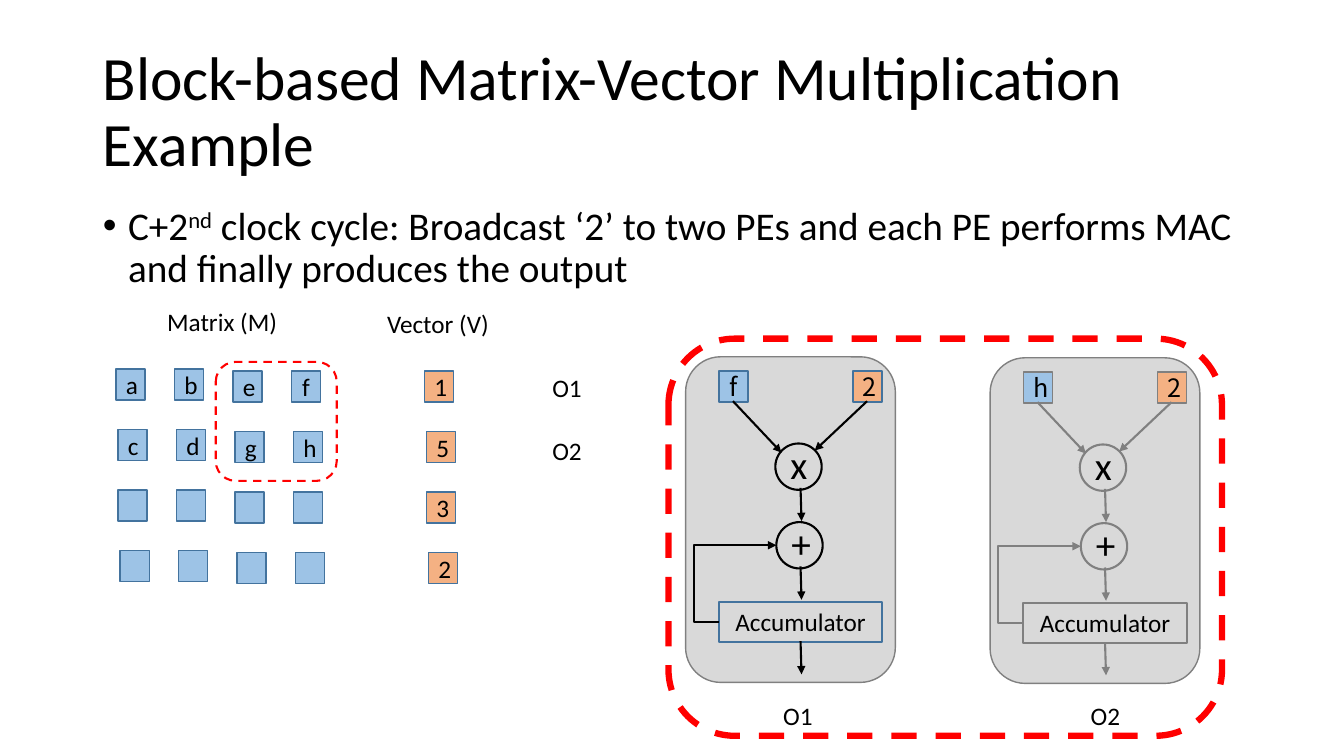
from lxml.etree import SubElement
from pptx import Presentation
from pptx.dml.color import RGBColor
from pptx.enum.dml import MSO_LINE
from pptx.enum.shapes import MSO_CONNECTOR, MSO_SHAPE
from pptx.enum.text import MSO_ANCHOR, MSO_AUTO_SIZE, PP_ALIGN
from pptx.oxml.ns import qn
from pptx.util import Inches, Pt

COLORS = {
    "matrix": "9DC3E6", "vector": "F4B183", "pe": "D9D9D9", "border": "43739E",
    "gray": "808080", "black": "000000", "highlight": "FF0000",
}
TEXT_FONT = "Calibri"
OPERAND_FONT = "Noto Sans CJK KR"
CELL_WIDTH, CELL_HEIGHT = 0.29, 0.31
COLUMN_STEP, ROW_STEP = 0.58, 0.6
ROW_SHIFTS = [0, 0.02, 0.02, 0.04]
MATRIX = ["abef", "cdgh", "    ", "    "]
VECTOR = "1532"


def rgb(name):
    return RGBColor.from_string(COLORS[name])


def format_runs(paragraph, size, font=TEXT_FONT):
    for run in paragraph.runs:
        run.font.size = Pt(size)
        run.font.name = font
        run.font.color.rgb = rgb("black")


def place(shape, left, top, width, height):
    shape.left, shape.top = Inches(left), Inches(top)
    shape.width, shape.height = Inches(width), Inches(height)


def add_box(shapes, kind, left, top, width, height, line, weight,
            fill=None, text="", font=TEXT_FONT, dashed=False):
    box = shapes.add_shape(kind, Inches(left), Inches(top), Inches(width), Inches(height))
    box.shadow.inherit = False
    if fill:
        box.fill.solid()
        box.fill.fore_color.rgb = rgb(fill)
    else:
        box.fill.background()
    box.line.color.rgb = rgb(line)
    box.line.width = Pt(weight)
    if dashed:
        box.line.dash_style = MSO_LINE.DASH
    if text:
        box.text_frame.text = text
        box.text_frame.vertical_anchor = MSO_ANCHOR.MIDDLE
        paragraph = box.text_frame.paragraphs[0]
        paragraph.alignment = PP_ALIGN.CENTER
        format_runs(paragraph, 18, font)


def add_cell(shapes, left, top, fill, text, line="border", font=TEXT_FONT):
    add_box(shapes, MSO_SHAPE.RECTANGLE, left, top, CELL_WIDTH, CELL_HEIGHT,
            line, 1, fill, text, font)


def add_label(shapes, text, left, top, width, height=0.4, size=18, wrap=False):
    label = shapes.add_textbox(Inches(left), Inches(top), Inches(width), Inches(height))
    label.text_frame.text = text
    label.text_frame.word_wrap = wrap
    format_runs(label.text_frame.paragraphs[0], size)


def add_arrow(shapes, start, end, color, bend=None):
    """Draw an arrow; bend is the elbow position as a share of its width."""
    kind = MSO_CONNECTOR.STRAIGHT if bend is None else MSO_CONNECTOR.ELBOW
    arrow = shapes.add_connector(kind, *(Inches(value) for value in (*start, *end)))
    arrow.line.color.rgb = rgb(color)
    arrow.line.width = Pt(1.5)
    properties = arrow._element.spPr
    SubElement(properties.find(qn("a:ln")), qn("a:tailEnd"), type="triangle")
    SubElement(properties, qn("a:effectLst"))
    if bend is not None:
        guides = properties.find(qn("a:prstGeom")).get_or_add_avLst()
        SubElement(guides, qn("a:gd"), name="adj1", fmla=f"val {round(bend * 100000)}")


def add_processing_element(slide, left, top, operand, ink, border):
    """Draw one multiply-accumulate unit with its corner at left, top."""
    shapes = slide.shapes.add_group_shape().shapes
    add_box(shapes, MSO_SHAPE.ROUNDED_RECTANGLE, left, top, 2.08, 3.23, "gray", 1, "pe")
    for symbol, dx, dy in [("x", 0.89, 0.86), ("+", 0.9, 1.64)]:
        add_box(shapes, MSO_SHAPE.OVAL, left + dx, top + dy, 0.46, 0.46, ink, 1.5)
        add_label(shapes, symbol, left + dx + 0.05, top + dy - 0.08, 0.36, 0.57, 28, True)
    for text, dx, fill in [(operand, 0.33, "matrix"), ("2", 1.66, "vector")]:
        add_cell(shapes, left + dx, top + 0.14, fill, text, border, OPERAND_FONT)
    add_box(shapes, MSO_SHAPE.RECTANGLE, left + 0.33, top + 2.43, 1.62, 0.4,
            border, 1.5, text="Accumulator")
    arrows = [
        ((0.47, 0.44), (0.95, 0.95), None),
        ((1.8, 0.44), (1.28, 0.93), None),
        ((1.14, 1.3), (1.15, 1.63), None),
        ((1.14, 2.08), (1.15, 2.41), None),
        ((0.33, 2.63), (0.9, 1.87), -0.435),
        ((1.14, 2.82), (1.15, 3.15), None),
    ]
    for (x1, y1), (x2, y2), bend in arrows:
        add_arrow(shapes, (left + x1, top + y1), (left + x2, top + y2), ink, bend)


def add_matrix_and_vector(shapes):
    for row, letters in enumerate(MATRIX):
        shift, top = ROW_SHIFTS[row], 3.66 + row * ROW_STEP
        for column, letter in enumerate(letters):
            drop = 0.02 if column > 1 else 0
            add_cell(shapes, 1.15 + shift + column * COLUMN_STEP, top + drop,
                     "matrix", letter.strip())
        add_cell(shapes, 4.21 + shift, top + 0.02, "vector", VECTOR[row])
    add_label(shapes, "Matrix (M)", 1.56, 2.99, 1.3)
    add_label(shapes, "Vector (V)", 3.74, 3.01, 1.22)


def fill_title(title):
    place(title, 0.92, 0.4, 11.5, 1.45)
    frame = title.text_frame
    frame.text = "Block-based Matrix-Vector Multiplication Example"
    frame.auto_size = MSO_AUTO_SIZE.NONE
    frame.vertical_anchor = MSO_ANCHOR.MIDDLE
    paragraph = frame.paragraphs[0]
    paragraph.alignment = PP_ALIGN.LEFT
    paragraph.line_spacing = 0.9
    format_runs(paragraph, 44)


def fill_body(body):
    place(body, 0.92, 2, 11.5, 4.76)
    body.text_frame.auto_size = MSO_AUTO_SIZE.NONE
    paragraph = body.text_frame.paragraphs[0]
    paragraph.line_spacing = 0.9
    paragraph.space_before = Pt(0)
    indents = paragraph._p.get_or_add_pPr()
    indents.set("marL", str(Inches(0.25)))
    indents.set("indent", str(Inches(-0.25)))
    for text in ["C+2", "nd", " clock cycle: Broadcast ‘2’ to two PEs and each PE "
                 "performs MAC and finally produces the output"]:
        paragraph.add_run().text = text
    format_runs(paragraph, 28)
    paragraph.runs[1]._r.get_or_add_rPr().set("baseline", "30000")


def main():
    presentation = Presentation()
    presentation.slide_width, presentation.slide_height = Inches(13.33), Inches(7.5)
    slide = presentation.slides.add_slide(presentation.slide_layouts[1])
    shapes = slide.shapes
    fill_title(shapes.title)
    fill_body(slide.placeholders[1])
    add_matrix_and_vector(shapes)
    add_processing_element(slide, 9.82, 3.55, "h", "gray", "gray")
    add_processing_element(slide, 6.8, 3.54, "f", "black", "border")
    add_box(shapes, MSO_SHAPE.ROUNDED_RECTANGLE, 2.14, 3.59, 1.2, 1.18,
            "highlight", 1.5, dashed=True)
    for text, left, top in [("O1", 7.67, 6.9), ("O2", 10.72, 6.9),
                            ("O1", 5.38, 3.64), ("O2", 5.38, 4.27)]:
        add_label(shapes, text, left, top, 0.5)
    add_box(shapes, MSO_SHAPE.ROUNDED_RECTANGLE, 6.63, 3.36, 5.49, 3.94,
            "highlight", 4.5, dashed=True)
    presentation.save("out.pptx")


if __name__ == "__main__":
    main()
